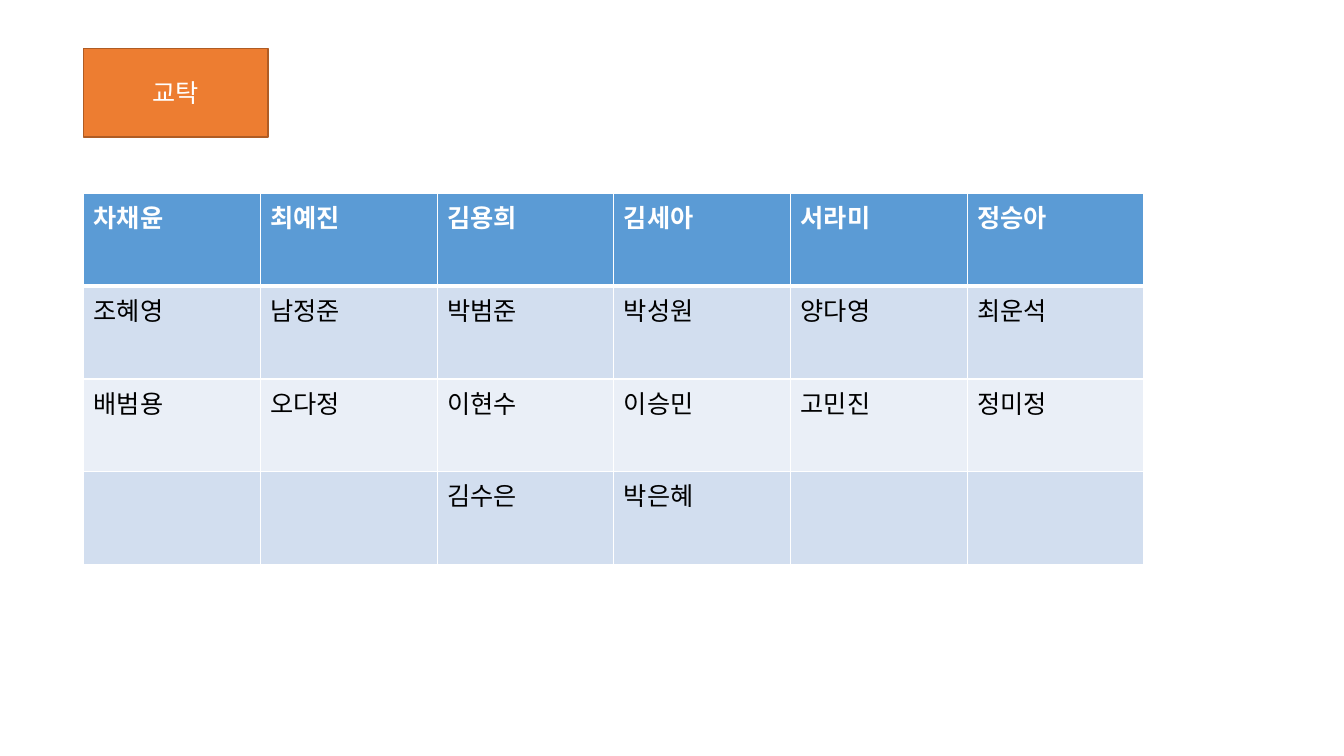
"""Build the classroom seating chart slide."""
from lxml import etree
from pptx import Presentation
from pptx.dml.color import RGBColor
from pptx.enum import shapes, text
from pptx.oxml import ns
from pptx.util import Inches, Pt

DESK = "교탁"
SEATS = [
    ["차채윤", "최예진", "김용희", "김세아", "서라미", "정승아"],
    ["조혜영", "남정준", "박범준", "박성원", "양다영", "최운석"],
    ["배범용", "오다정", "이현수", "이승민", "고민진", "정미정"],
    ["", "", "김수은", "박은혜", "", ""],
]
FONT = "Noto Sans CJK KR"
WHITE = RGBColor(0xFF, 0xFF, 0xFF)
BLACK = RGBColor(0x00, 0x00, 0x00)
ORANGE = RGBColor(0xED, 0x7D, 0x31)
BROWN = RGBColor(0xAF, 0x5C, 0x24)
BLUE = RGBColor(0x5B, 0x9B, 0xD5)
BANDS = [RGBColor(0xEA, 0xEF, 0xF7), RGBColor(0xD2, 0xDE, 0xEF)]
LEFT = 0.83
SEAT_WIDTH, SEAT_HEIGHT = 1.753, 0.92


def write(paragraph, words, color, bold=False):
    paragraph.text = words
    font = paragraph.font
    font.name, font.size, font.bold = FONT, Pt(18), bold
    font.color.rgb = color
    latin = next(paragraph._p.iter(ns.qn("a:latin")))
    latin.addnext(latin.makeelement(ns.qn("a:ea"), {"typeface": FONT}))


def add_borders(cell, widths):
    properties = cell._tc.get_or_add_tcPr()
    for side, width in widths.items():
        line = etree.SubElement(properties, ns.qn(f"a:ln{side}"), w=str(Pt(width)))
        fill = etree.SubElement(line, ns.qn("a:solidFill"))
        etree.SubElement(fill, ns.qn("a:srgbClr"), val=str(WHITE))


deck = Presentation()
deck.slide_width, deck.slide_height = Inches(13.33), Inches(7.5)
slide = deck.slides.add_slide(deck.slide_layouts[6])

desk = slide.shapes.add_shape(shapes.MSO_SHAPE.RECTANGLE, Inches(LEFT), Inches(0.48),
                              Inches(1.83), Inches(0.88))
desk.shadow.inherit = False
desk.fill.solid()
desk.fill.fore_color.rgb = ORANGE
desk.line.color.rgb = BROWN
desk.line.width = Pt(1)
desk.text_frame.vertical_anchor = text.MSO_ANCHOR.MIDDLE
desk_label = desk.text_frame.paragraphs[0]
desk_label.alignment = text.PP_ALIGN.CENTER
write(desk_label, DESK, WHITE)

row_count, column_count = len(SEATS), len(SEATS[0])
seating = slide.shapes.add_table(
    row_count, column_count, Inches(LEFT), Inches(1.92),
    Inches(SEAT_WIDTH * column_count), Inches(SEAT_HEIGHT * row_count)).table

for row, names in enumerate(SEATS):
    front = row == 0
    for column, name in enumerate(names):
        seat = seating.cell(row, column)
        add_borders(seat, {"L": 1, "R": 1, "T": 3 if row == 1 else 1, "B": 3 if front else 1})
        seat.fill.solid()
        seat.fill.fore_color.rgb = BLUE if front else BANDS[row % 2]
        write(seat.text_frame.paragraphs[0], name, WHITE if front else BLACK, front)

deck.save("out.pptx")
